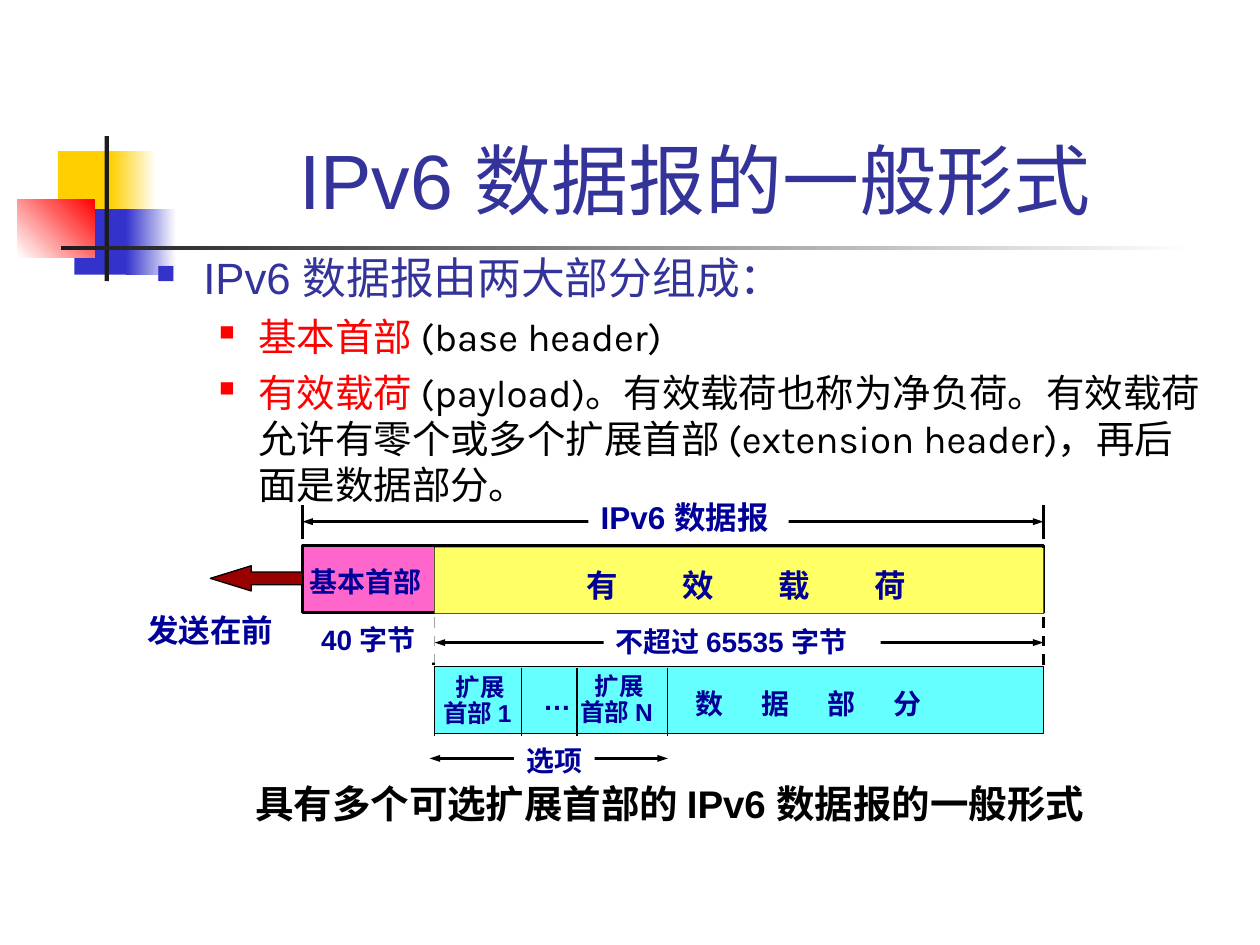
"""Builds a slide on the general form of an IPv6 datagram."""
import dataclasses

import pptx
import pptx.dml.color
import pptx.enum.dml
import pptx.enum.shapes
import pptx.enum.text
import pptx.oxml
import pptx.oxml.ns
import pptx.util

Pt = pptx.util.Pt
Kind = pptx.enum.shapes.MSO_SHAPE
Align = pptx.enum.text.PP_ALIGN


@dataclasses.dataclass(frozen=True)
class Theme:
    black: str = "000000"
    white: str = "FFFFFF"
    ink: str = "1C1C1C"
    gold: str = "FFCF01"
    blue: str = "3333CC"
    red: str = "FF0000"
    heading: str = "333399"
    label: str = "000099"
    pink: str = "FF66CC"
    cyan: str = "66FFFF"
    yellow: str = "FFFF66"
    maroon: str = "990000"
    sans: str = "Arial"
    body: str = "Karla"
    title_size: int = 44
    lead_size: int = 25
    point_size: int = 22
    large_size: int = 18
    medium_size: int = 16
    small_size: int = 14


theme = Theme()
rgb = pptx.dml.color.RGBColor.from_string
deck = pptx.Presentation()
deck.slide_width, deck.slide_height = Pt(720), Pt(540)
page = deck.slides.add_slide(deck.slide_layouts[6])


def add_block(bounds, colors, line_width=0, kind=Kind.RECTANGLE, angle=0):
    block = page.shapes.add_shape(kind, *map(Pt, bounds))
    block.shadow.inherit = False
    if len(colors) == 1:
        block.fill.solid()
        block.fill.fore_color.rgb = rgb(colors[0])
    else:
        block.fill.gradient()
        block.fill.gradient_angle = angle
        for stop, color in zip(block.fill.gradient_stops, colors):
            stop.color.rgb = rgb(color)
    if line_width:
        block.line.color.rgb = rgb(theme.black)
        block.line.width = Pt(line_width)
    else:
        block.line.fill.background()
    return block


def add_span(para, words, size, color, bold=False, font=theme.sans):
    span = para.add_run()
    span.text = words
    span.font.size = Pt(size)
    span.font.name = font
    span.font.bold = bold
    span.font.color.rgb = rgb(color)


for bounds, colors, angle in [
    ((33.1, 86.4, 34.6, 37.4), [theme.gold], 0),
    ((63.4, 86.4, 25.9, 37.4), [theme.gold, theme.white], 0),
    ((42.5, 119.5, 33.1, 37.4), [theme.blue], 0),
    ((72, 119.5, 28.8, 37.4), [theme.blue, theme.white], 0),
    ((10.1, 113.8, 43.9, 33.1), [theme.white, theme.red], 45),
    ((59.8, 77.8, 2.5, 82.8), [theme.ink], 0),
    ((34.6, 140.4, 648, 2.5), [theme.ink, theme.white], 0),
]:
    add_block(bounds, colors, angle=angle)

title = page.shapes.add_textbox(Pt(90.7), Pt(16.6), Pt(613.4), Pt(115.2)).text_frame
title.word_wrap = True
title.vertical_anchor = pptx.enum.text.MSO_ANCHOR.BOTTOM
title.paragraphs[0].alignment = Align.CENTER
add_span(title.paragraphs[0], "IPv6 数据报的一般形式", theme.title_size, theme.heading)

outline = page.shapes.add_textbox(Pt(82.1), Pt(139.7), Pt(612), Pt(324)).text_frame
outline.word_wrap = True
lead_style = (0, 27, 27, 0, theme.blue, 60)
point_style = (1, 58.5, 22.5, 5.5, theme.red, 55)
for index, (style, spans) in enumerate([
    (lead_style, [("IPv6 数据报由两大部分组成：", theme.lead_size, theme.heading, False, theme.sans)]),
    (point_style, [
        ("基本首部 ", theme.point_size, theme.red, False, theme.body),
        ("(base header)", theme.point_size, theme.black, False, theme.body),
    ]),
    (point_style, [
        ("有效载荷 ", theme.point_size, theme.red, False, theme.body),
        ("(payload)。有效载荷也称为净负荷。有效载荷允许有零个或多个扩展首部 "
         "(extension header)，再后面是数据部分。", theme.point_size, theme.black, False, theme.body),
    ]),
]):
    level, margin, hanging, space, bullet_color, bullet_size = style
    para = outline.paragraphs[0] if index == 0 else outline.add_paragraph()
    para.level = level
    para.space_before = Pt(space)
    properties = para._p.get_or_add_pPr()
    properties.set("marL", str(Pt(margin)))
    properties.set("indent", str(-Pt(hanging)))
    for markup in (
        f'<a:buClr %s><a:srgbClr val="{bullet_color}"/></a:buClr>',
        f'<a:buSzPct %s val="{bullet_size * 1000}"/>',
        '<a:buChar %s char="■"/>',
    ):
        properties.append(pptx.oxml.parse_xml(markup % pptx.oxml.ns.nsdecls("a")))
    for span in spans:
        add_span(para, *span)

left, split, right = 172.8, 248.4, 596.2
add_block((left, 311.8, right - left, 38.2), [theme.pink], 1.5)
add_block((split, 380.9, right - split, 38.2), [theme.cyan], 0.75)

dividers = [(x, 381.6, x, 420.5, 0.75, "") for x in (split, 298.1, 329.8, 381.6)]
end_bars = [(x, 288.7, x, 308.2, 1.5, "") for x in (left, right)]
dashes = [(x, 352.8, x, 380.5, 1.5, "dash") for x in (247.7, right)]
measures = [(start, y, end, y, 1.5, "arrows") for start, end, y in
            [(245.5, 381.6, 433.4), (left, right, 298.1), (split, right, 367.2)]]
header_edge = [(split, 311.8, split, 349.9, 0.75, "")]
for *ends, width, style in dividers + end_bars + dashes + measures + header_edge:
    line = page.shapes.add_connector(pptx.enum.shapes.MSO_CONNECTOR.STRAIGHT, *map(Pt, ends))
    line.line.color.rgb = rgb(theme.black)
    line.line.width = Pt(width)
    if style == "dash":
        line.line.dash_style = pptx.enum.dml.MSO_LINE.DASH
    if style == "arrows":
        for tag in ("headEnd", "tailEnd"):
            line.line._get_or_add_ln().append(pptx.oxml.parse_xml(
                f'<a:{tag} {pptx.oxml.ns.nsdecls("a")} type="triangle" w="sm" len="med"/>'))
    line._element.spPr.append(pptx.oxml.parse_xml(f'<a:effectLst {pptx.oxml.ns.nsdecls("a")}/>'))

add_block((split, 313.2, right - split, 37.4), [theme.yellow])
arrow = add_block((120.2, 323.3, 52.6, 14.4), [theme.maroon], 0.75, Kind.RIGHT_ARROW)
arrow.rotation = 180
arrow.adjustments[0], arrow.adjustments[1] = 0.5, 1.62

large, medium, small = theme.large_size, theme.medium_size, theme.small_size
tight = dict(center=True, spacing=0.9)
masked = dict(fill=theme.white)
for bounds, lines, size, look in [
    ((169.9, 321.1, 77.8, 24.5), ["基本首部"], medium, tight),
    ((242.6, 382.3, 60.5, 37.4), [" 扩展", "首部 1"], small, tight),
    ((321.1, 381.6, 62.6, 37.4), [" 扩展", "首部 N"], small, tight),
    ((298.8, 386.6, 34.6, 26.6), [" …"], medium, {}),
    ((390.2, 388.8, 205, 26.6), ["数\t据\t部\t分"], medium, dict(tab=37.7)),
    ((293.8, 421.2, 46.1, 26.6), ["选项"], medium, masked),
    ((336.2, 280.8, 114.5, 28.8), ["IPv6 数据报"], large, masked),
    ((176.4, 352.1, 72, 26.6), ["40 字节"], medium, masked),
    ((344.9, 353.5, 158.4, 26.6), ["不超过 65535 字节"], medium, masked),
    ((77, 345.6, 86.4, 28.8), ["发送在前"], large, {}),
    ((328.2, 319.7, 244, 28.8), ["有\t效\t载\t荷"], large, dict(tab=54.8)),
    ((75.6, 442.1, 614.2, 33.8), ["具有多个可选扩展首部的 IPv6 数据报的一般形式"], theme.point_size,
     dict(center=True, color=theme.black)),
]:
    box = page.shapes.add_textbox(*map(Pt, bounds))
    if "fill" in look:
        box.fill.solid()
        box.fill.fore_color.rgb = rgb(look["fill"])
    centered = look.get("center", False)
    frame = box.text_frame
    frame.word_wrap = True
    frame.auto_size = pptx.enum.text.MSO_AUTO_SIZE.NONE
    frame.margin_left = Pt(0 if centered else 7.2)
    frame.margin_right = Pt(0)
    for index, words in enumerate(lines):
        para = frame.paragraphs[0] if index == 0 else frame.add_paragraph()
        para.alignment = Align.CENTER if centered else Align.LEFT
        para.line_spacing = look.get("spacing", 1.0)
        if "tab" in look:
            stops = "".join(f'<a:tab pos="{Pt(look["tab"] * step)}" algn="l"/>' for step in (1, 2, 3))
            para._p.get_or_add_pPr().append(pptx.oxml.parse_xml(
                f'<a:tabLst {pptx.oxml.ns.nsdecls("a")}>{stops}</a:tabLst>'))
        add_span(para, words, size, look.get("color", theme.label), True)

deck.save("out.pptx")
